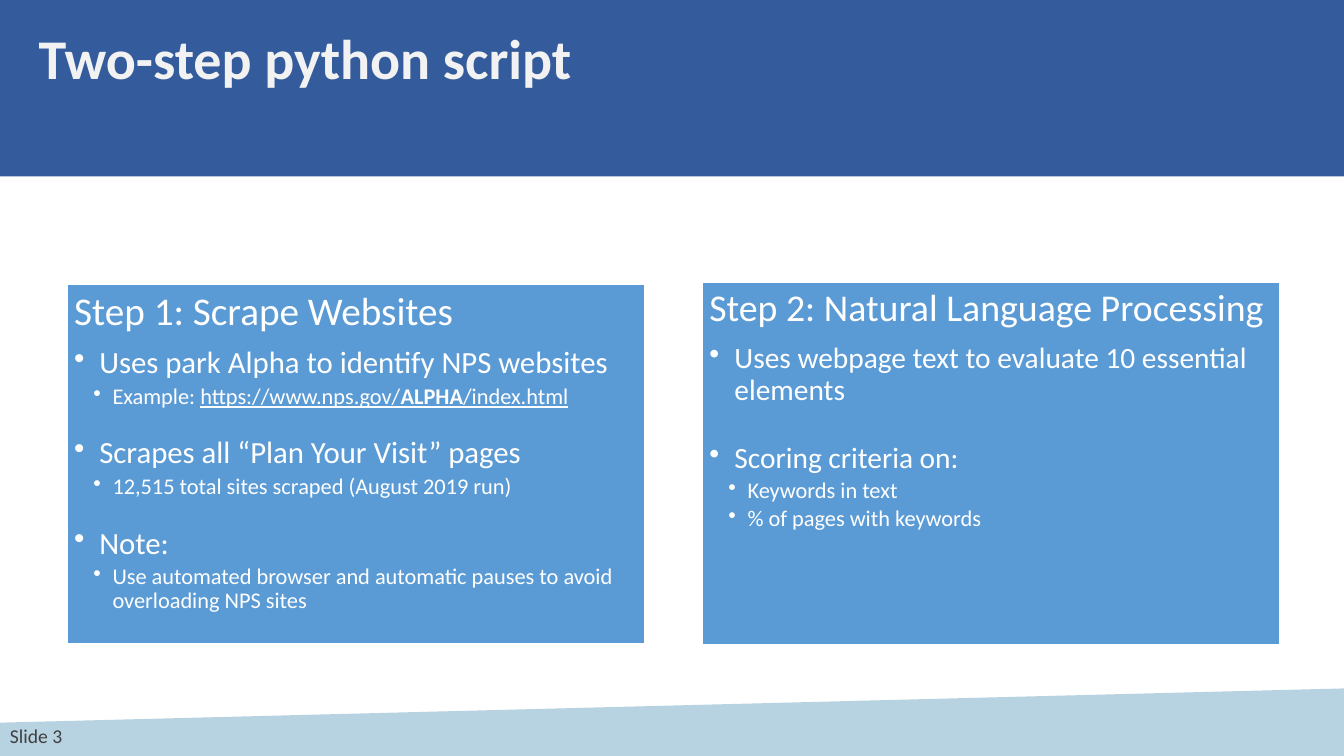
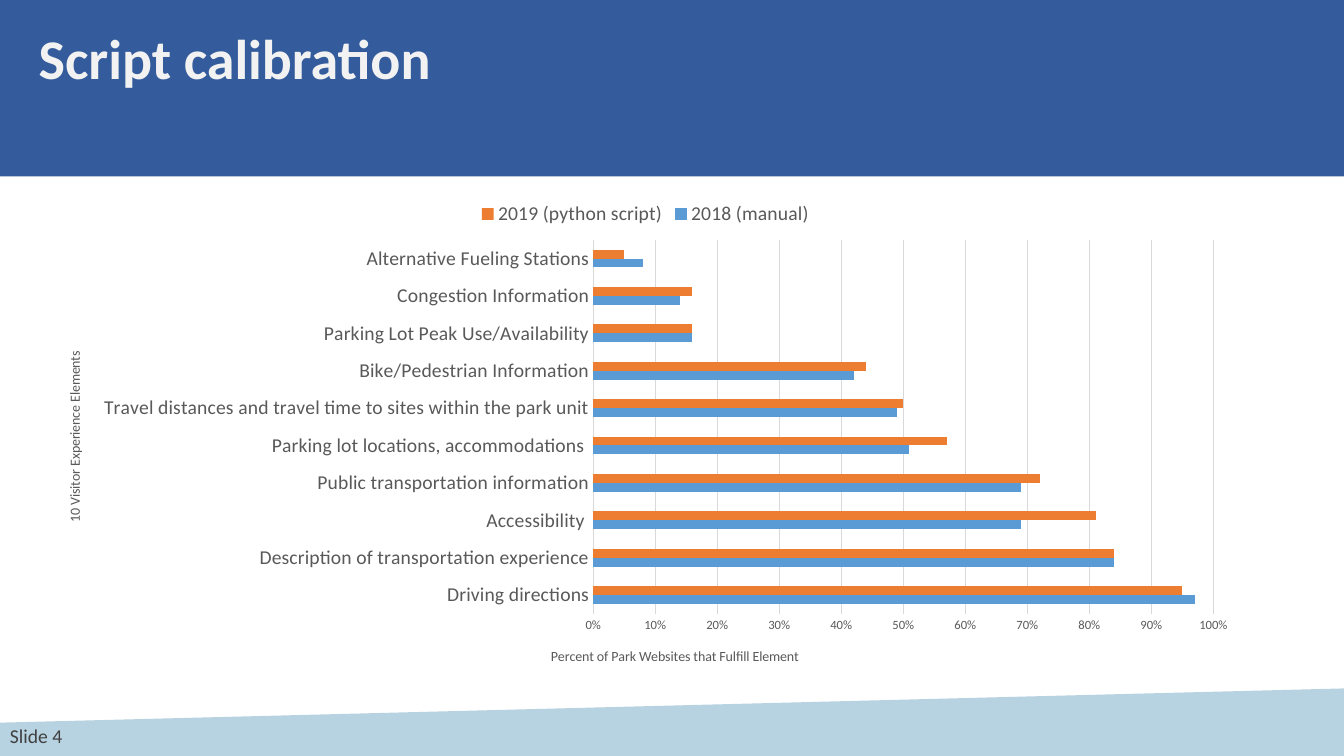
"""Build two slides on a web-scraping script and its calibration."""
from dataclasses import dataclass

from lxml.etree import SubElement
from pptx import Presentation
from pptx.chart.data import CategoryChartData
from pptx.dml.color import RGBColor
from pptx.enum.chart import XL_CHART_TYPE as ChartType
from pptx.enum.chart import XL_LEGEND_POSITION as LegendPosition
from pptx.enum.chart import XL_TICK_MARK as TickMark
from pptx.enum.shapes import MSO_SHAPE as Preset
from pptx.enum.text import MSO_ANCHOR as Anchor
from pptx.oxml.ns import qn
from pptx.util import Inches, Pt

WIDTH, HEIGHT = Inches(13.333), Inches(7.5)
COLUMNS, ROWS = 40, 30
FONT = "Calibri"
NAVY, SKY, BLUE, ORANGE = "345C9C", "B7D2E0", "5B9BD5", "ED7D31"
WHITE, PALE, GRAY, GRID, DARK = "FFFFFF", "F2F2F2", "595959", "D9D9D9", "404040"
INDENTS = {1: (0.25, -0.25), 2: (0.38, -0.19)}
LINE_SHARE, BLANK_LINE = 0.9, 1.1


@dataclass(frozen=True)
class Box:
    left: float
    top: float
    width: float
    height: float

    def place(self):
        return (across(self.left), down(self.top),
                across(self.width), down(self.height))


@dataclass(frozen=True)
class Run:
    text: str
    bold: bool = False
    underline: bool = False


@dataclass(frozen=True)
class Item:
    level: int
    runs: tuple[Run, ...]
    gap_after: bool = False


@dataclass(frozen=True)
class Panel:
    box: Box
    heading: str
    sizes: tuple[float, ...]
    items: tuple[Item, ...]


@dataclass(frozen=True)
class Series:
    name: str
    colour: str
    values: tuple[float, ...]


TITLE_BOX = Box(1.15, 0, 36.12, 5)
FOOTER_BOX = Box(0, 28.4, 9, 1.6)
CHART_BOX = Box(1.15, 7.56, 36.12, 19.6)
WAVE = ((0, 28.68), (40, 27.32), (40, 30), (0, 30))

PANELS = (
    Panel(Box(2, 11.28, 17.2, 14.28), "Step 1: Scrape Websites", (28, 22, 16), (
        Item(1, (Run("Uses park Alpha to identify NPS websites"),)),
        Item(2, (Run("Example: "), Run("https://www.nps.gov/", underline=True),
                 Run("ALPHA", bold=True, underline=True),
                 Run("/index.html", underline=True)), gap_after=True),
        Item(1, (Run("Scrapes all “Plan Your Visit” pages"),)),
        Item(2, (Run("12,515 total sites scraped (August 2019 run)"),), gap_after=True),
        Item(1, (Run("Note:"),)),
        Item(2, (Run("Use automated browser and automatic pauses to avoid "
                     "overloading NPS sites"),)),
    )),
    Panel(Box(20.9, 11.2, 17.2, 14.4), "Step 2: Natural Language Processing", (27, 21, 16), (
        Item(1, (Run("Uses webpage text to evaluate 10 essential elements"),),
             gap_after=True),
        Item(1, (Run("Scoring criteria on:"),)),
        Item(2, (Run("Keywords in text"),)),
        Item(2, (Run("% of pages with keywords"),)),
    )),
)

ELEMENTS = (
    "Driving directions", "Description of transportation experience",
    "Accessibility ", "Public transportation information",
    "Parking lot locations, accommodations ",
    "Travel distances and travel time to sites within the park unit",
    "Bike/Pedestrian Information", "Parking Lot Peak Use/Availability",
    "Congestion Information", "Alternative Fueling Stations",
)
SERIES = (
    Series("2018 (manual)", BLUE,
           (0.97, 0.84, 0.69, 0.69, 0.51, 0.49, 0.42, 0.16, 0.14, 0.08)),
    Series("2019 (python script)", ORANGE,
           (0.95, 0.84, 0.81, 0.72, 0.57, 0.5, 0.44, 0.16, 0.16, 0.05)),
)


def across(columns: float) -> int:
    return round(WIDTH * columns / COLUMNS)


def down(rows: float) -> int:
    return round(HEIGHT * rows / ROWS)


def rgb(colour: str) -> RGBColor:
    return RGBColor.from_string(colour)


def style_font(font, size: float, colour: str, bold=False, underline=False) -> None:
    font.name, font.size = FONT, Pt(size)
    font.bold, font.underline = bold, underline
    font.color.rgb = rgb(colour)


def write(paragraph, text: str, *, size: float, colour: str,
          bold=False, underline=False) -> None:
    run = paragraph.add_run()
    run.text = text
    style_font(run.font, size, colour, bold, underline)


def paint(shape, fill: str, line: str | None = None) -> None:
    shape.shadow.inherit = False
    shape.fill.solid()
    shape.fill.fore_color.rgb = rgb(fill)
    if line:
        shape.line.color.rgb = rgb(line)
        shape.line.width = Pt(1)
    else:
        shape.line.fill.background()


def add_label(slide, box: Box, inset: float | None = None):
    frame = slide.shapes.add_textbox(*box.place()).text_frame
    frame.word_wrap = True
    frame.vertical_anchor = Anchor.MIDDLE
    if inset is not None:
        set_insets(frame, inset)
    return frame.paragraphs[0]


def set_insets(frame, inset: float) -> None:
    frame.margin_left = frame.margin_right = Inches(inset)
    frame.margin_top = frame.margin_bottom = Inches(inset)


def add_base(presentation, title: str, number: int):
    slide = presentation.slides.add_slide(presentation.slide_layouts[6])
    band = slide.shapes.add_shape(Preset.RECTANGLE, *Box(0, 0, COLUMNS, 7).place())
    paint(band, NAVY)
    points = [(across(column), down(row)) for column, row in WAVE]
    builder = slide.shapes.build_freeform(*points[0])
    builder.add_line_segments(points[1:], close=True)
    paint(builder.convert_to_shape(), SKY)
    heading = add_label(slide, TITLE_BOX, inset=0)
    heading.line_spacing = Pt(40)
    write(heading, title, size=40, colour=PALE, bold=True)
    write(add_label(slide, FOOTER_BOX), f"Slide {number}", size=14, colour=DARK)
    return slide


def add_bullet(paragraph, level: int) -> None:
    properties = paragraph._p.get_or_add_pPr()
    left, hanging = INDENTS[level]
    properties.set("marL", str(Inches(left)))
    properties.set("indent", str(Inches(hanging)))
    SubElement(properties, qn("a:buChar")).set("char", "•")


def add_panel(slide, panel: Panel) -> None:
    shape = slide.shapes.add_shape(Preset.RECTANGLE, *panel.box.place())
    paint(shape, BLUE, line=WHITE)
    frame = shape.text_frame
    frame.word_wrap = True
    frame.vertical_anchor = Anchor.TOP
    set_insets(frame, 0.07)
    for item in (Item(0, (Run(panel.heading),)), *panel.items):
        paragraph = frame.add_paragraph() if item.level else frame.paragraphs[0]
        size = panel.sizes[item.level]
        after = (0.15 if item.level else 0.35) + BLANK_LINE * item.gap_after
        paragraph.alignment = 1
        paragraph.line_spacing = LINE_SHARE
        paragraph.space_after = Pt(round(size * after, 1))
        if item.level:
            add_bullet(paragraph, item.level)
        for run in item.runs:
            write(paragraph, run.text, size=size, colour=WHITE,
                  bold=run.bold, underline=run.underline)


def set_layout(element, index: int, **shares: float) -> None:
    for old in element.findall(qn("c:layout")):
        element.remove(old)
    layout = SubElement(element, qn("c:layout"))
    element.insert(index, layout)
    manual = SubElement(layout, qn("c:manualLayout"))
    settings = {"xMode": "edge", "yMode": "edge", **shares}
    if "w" in shares:
        settings = {"layoutTarget": "inner", **settings}
    for name, value in settings.items():
        SubElement(manual, qn(f"c:{name}")).set("val", str(value))


def style_axis(axis, title: str, size: float, x: float, y: float) -> None:
    axis.major_tick_mark = axis.minor_tick_mark = TickMark.NONE
    style_font(axis.tick_labels.font, size, GRAY)
    write(axis.axis_title.text_frame.paragraphs[0], title, size=10, colour=GRAY)
    set_layout(axis.axis_title._element, 1, x=x, y=y)


def style_line(line) -> None:
    line.color.rgb = rgb(GRID)
    line.width = Pt(0.75)


def add_calibration_chart(slide) -> None:
    data = CategoryChartData(number_format="0%")
    data.categories = ELEMENTS
    for series in SERIES:
        data.add_series(series.name, series.values)
    chart = slide.shapes.add_chart(
        ChartType.BAR_CLUSTERED, *CHART_BOX.place(), data).chart
    style_font(chart.font, 10, GRAY)
    chart.has_title = False
    chart.has_legend = True
    chart.legend.position = LegendPosition.TOP
    chart.legend.include_in_layout = False
    style_font(chart.legend.font, 14, GRAY)
    plot = chart.plots[0]
    plot.vary_by_categories = False
    plot.gap_width, plot.overlap = 219, 0
    for drawn, series in zip(plot.series, SERIES):
        drawn.format.fill.solid()
        drawn.format.fill.fore_color.rgb = rgb(series.colour)
    categories, values = chart.category_axis, chart.value_axis
    style_axis(categories, "10 Visitor Experience Elements", 14, 0.02, 0.32)
    style_line(categories.format.line)
    body = categories.axis_title.text_frame._txBody.find(qn("a:bodyPr"))
    body.set("rot", "-5400000")
    body.set("vert", "horz")
    style_axis(values, "Percent of Park Websites that Fulfill Element", 9, 0.42, 0.92)
    values.minimum_scale, values.maximum_scale, values.major_unit = 0, 1, 0.1
    values.tick_labels.number_format = "0%"
    values.tick_labels.number_format_is_linked = False
    values.format.line.fill.background()
    style_line(values.major_gridlines.format.line)
    plot_area = chart._chartSpace.find(f".//{qn('c:plotArea')}")
    set_layout(plot_area, 0, x=0.457, y=0.1, w=0.511, h=0.757)


def main() -> None:
    presentation = Presentation()
    presentation.slide_width, presentation.slide_height = WIDTH, HEIGHT
    steps = add_base(presentation, "Two-step python script", 3)
    for panel in PANELS:
        add_panel(steps, panel)
    add_calibration_chart(add_base(presentation, "Script calibration", 4))
    presentation.save("out.pptx")


if __name__ == "__main__":
    main()
